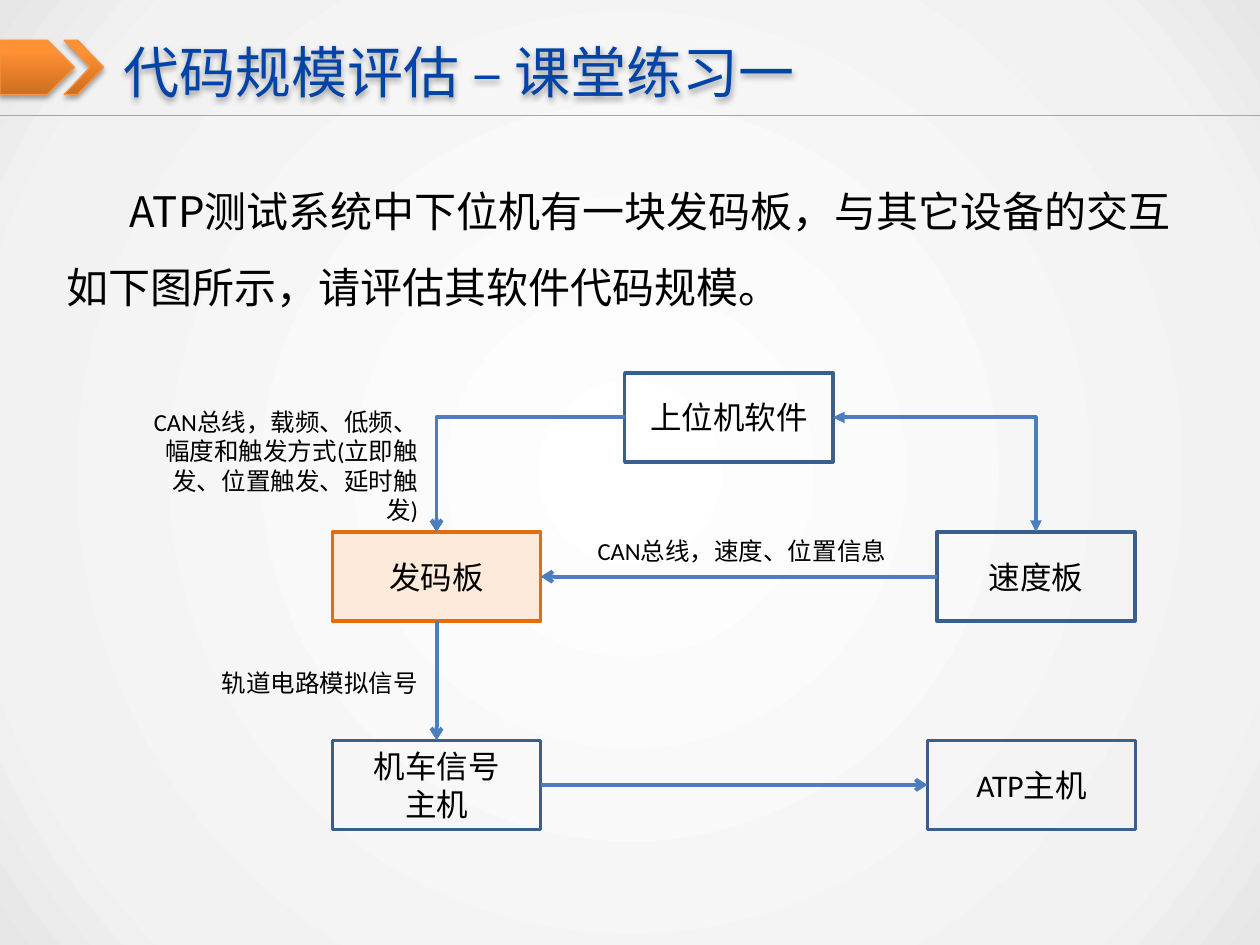
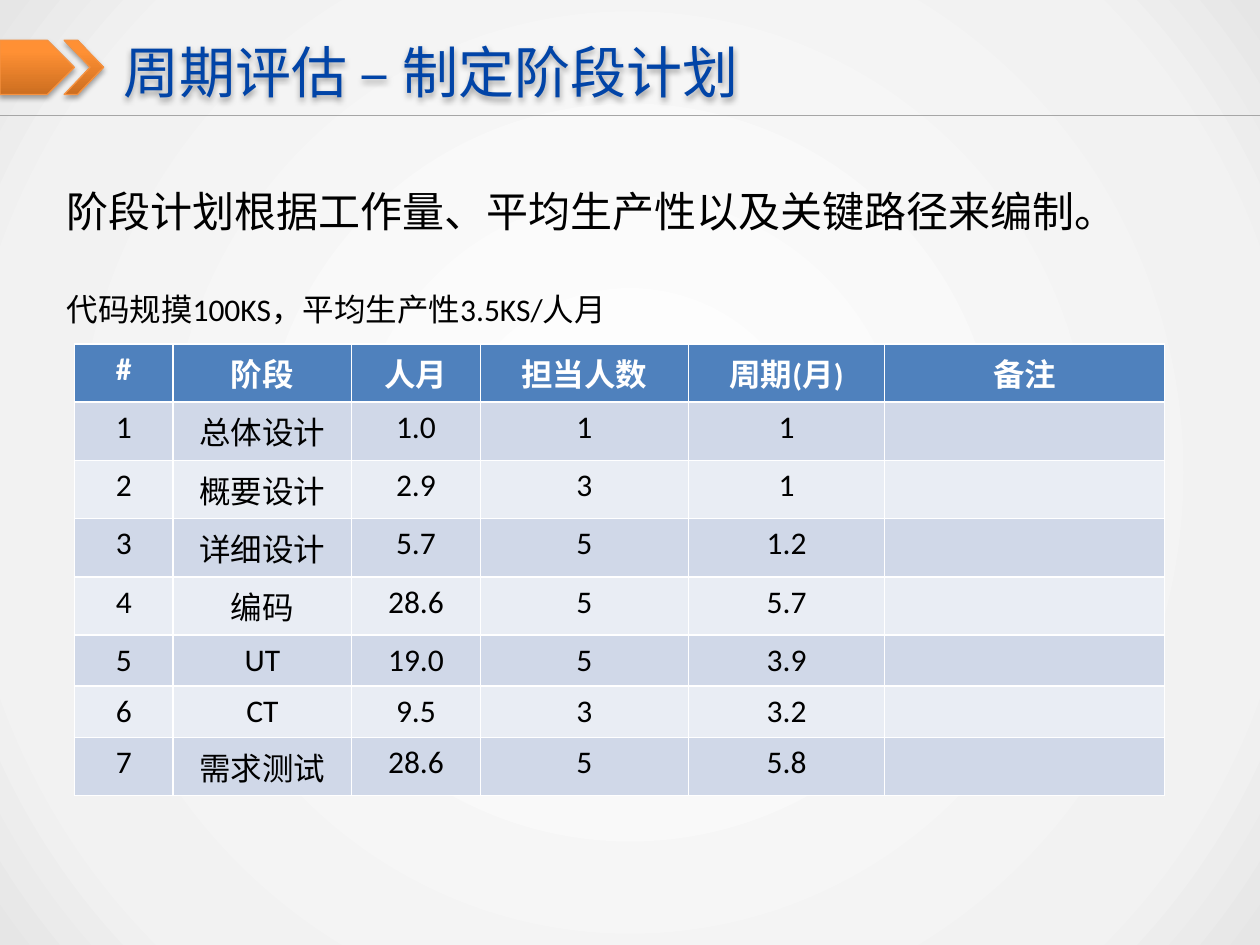
from lxml.etree import SubElement
from pptx import Presentation
from pptx.dml.color import RGBColor
from pptx.enum.shapes import MSO_CONNECTOR as Connector, MSO_SHAPE as Preset
from pptx.enum.text import MSO_ANCHOR as Anchor, MSO_AUTO_SIZE as AutoSize, PP_ALIGN as Align
from pptx.oxml.ns import qn
from pptx.util import Pt

COLORS = {
    "title": "0144A7", "text": "000000", "white": "FFFFFF", "rule": "A6A6A6",
    "orange": "F69240", "box": "3A5F8C", "arrow": "4B7EBC",
    "focus": "E46C0A", "focus_fill": "FDEADA",
    "header": "4F81BD", "odd_row": "D0D8E8", "even_row": "E9EDF4",
}
BACKGROUND_STOPS = [(0, "FFFFFF"), (82, "F2F2F2"), (100, "E6E6E6")]
ORANGE_STOPS = [(0, "CC6E20"), (80, "FF9034"), (100, "FF9136")]
LATIN, CHINESE = "Calibri", "Noto Sans CJK SC"
TOP, LEFT, BOTTOM, RIGHT = range(4)  # connection sites of a rectangle


def rgb(name):
    return RGBColor.from_string(COLORS[name])


def points(*lengths):
    return [Pt(length) for length in lengths]


def place(shape, left, top, width, height):
    shape.left, shape.top, shape.width, shape.height = points(left, top, width, height)


# Text and effects

def format_paragraph(paragraph, size, color="text", name=LATIN, align=Align.LEFT, bold=False):
    paragraph.alignment = align
    font = paragraph.font
    font.size, font.name, font.bold = Pt(size), name, bold
    font.color.rgb = rgb(color)
    SubElement(paragraph._p.pPr.find(qn("a:defRPr")), qn("a:ea"), typeface=CHINESE)


def write(frame, text, size, **style):
    frame.text = text
    for paragraph in frame.paragraphs:
        format_paragraph(paragraph, size, **style)


def set_gradient(element, fill, stops):
    """Fill with colour stops and return the gradient for its direction."""
    fill.gradient()
    gradient = next(element.iter(qn("a:gradFill")))
    for child in list(gradient):
        gradient.remove(child)
    stop_list = SubElement(gradient, qn("a:gsLst"))
    for position, color in stops:
        stop = SubElement(stop_list, qn("a:gs"), pos=str(position * 1000))
        SubElement(stop, qn("a:srgbClr"), val=color)
    return gradient


def add_shadow(shape):
    shape.shadow.inherit = False
    effects = next(shape.element.iter(qn("a:effectLst")))
    shadow = SubElement(effects, qn("a:outerShdw"), blurRad=str(Pt(3.1)),
                        dist=str(Pt(1.8)), dir="5400000", rotWithShape="0")
    color = SubElement(shadow, qn("a:srgbClr"), val=COLORS["text"])
    SubElement(color, qn("a:alpha"), val="35000")


# Shared slide parts

def set_background(master):
    gradient = set_gradient(master.element, master.background.fill, BACKGROUND_STOPS)
    circle = SubElement(gradient, qn("a:path"), {"path": "circle"})
    SubElement(circle, qn("a:fillToRect"), {side: "50000" for side in "ltrb"})


def add_title_mark(slide, preset, left, width):
    mark = slide.shapes.add_shape(preset, *points(left, 23, width, 31))
    gradient = set_gradient(mark.element, mark.fill, ORANGE_STOPS)
    SubElement(gradient, qn("a:lin"), ang="16200000", scaled="0")
    mark.line.color.rgb = rgb("orange")
    mark.line.width = Pt(0.75)
    add_shadow(mark)
    return mark


def add_line(slide, kind, color, width, ends=(0, 0, 0, 0)):
    line = slide.shapes.add_connector(kind, *points(*ends))
    line.line.color.rgb = rgb(color)
    line.line.width = Pt(width)
    SubElement(line.element.spPr, qn("a:effectLst"))
    return line


def add_slide(presentation, title_text, body_text, body_height, first_indent=0):
    slide = presentation.slides.add_slide(presentation.slide_layouts[1])
    title, body = slide.placeholders

    # Title
    place(title, 70.5, 15, 635, 51)
    frame = title.text_frame
    frame.auto_size, frame.vertical_anchor = AutoSize.NONE, Anchor.MIDDLE
    frame.margin_left = frame.margin_right = 0
    write(frame, title_text, 32, color="title", name=CHINESE)
    add_shadow(title)

    # Title marks and rule
    add_title_mark(slide, Preset.PENTAGON, 0, 42.5)
    chevron = add_title_mark(slide, Preset.CHEVRON, 36.7, 22.5)
    chevron.adjustments[0] = 0.66
    add_line(slide, Connector.STRAIGHT, "rule", 0.75, (0, 66, 720, 66))

    # Introduction
    place(body, 31, 88, 657, body_height)
    body.text_frame.auto_size = AutoSize.NONE
    write(body.text_frame, body_text, 24, name=CHINESE)
    paragraph = body.text_frame.paragraphs[0]
    paragraph.line_spacing, paragraph.space_before = 1.5, Pt(0)
    properties = paragraph._p.pPr
    properties.set("marL", "0")
    properties.set("indent", str(Pt(first_indent)))
    properties.find(qn("a:defRPr")).addprevious(properties.makeelement(qn("a:buNone")))
    return slide


# Slide content

def add_label(slide, text, left, top, width, height, size=14, align=Align.RIGHT):
    label = slide.shapes.add_textbox(*points(left, top, width, height))
    label.text_frame.word_wrap = True
    write(label.text_frame, text, size, align=align)


def add_box(slide, text, left, top, width=119, line="box", fill=None):
    box = slide.shapes.add_shape(Preset.RECTANGLE, *points(left, top, width, 51))
    box.shadow.inherit = False
    if fill:
        box.fill.solid()
        box.fill.fore_color.rgb = rgb(fill)
    else:
        box.fill.background()
    box.line.color.rgb = rgb(line)
    box.line.width = Pt(2)
    box.text_frame.vertical_anchor = Anchor.MIDDLE
    write(box.text_frame, text, 18, align=Align.CENTER)
    return box


def add_arrow(slide, start, start_site, end, end_site, tail="arrow", head=None, bent=False):
    arrow = add_line(slide, Connector.ELBOW if bent else Connector.STRAIGHT, "arrow", 2.25)
    arrow.begin_connect(start, start_site)
    arrow.end_connect(end, end_site)
    if bent:
        next(arrow.element.iter(qn("a:prstGeom"))).set("prst", "bentConnector2")
    outline = next(arrow.element.iter(qn("a:ln")))
    if head:
        SubElement(outline, qn("a:headEnd"), type=head)
    SubElement(outline, qn("a:tailEnd"), type=tail)


def add_table(slide, rows, widths, left, top, row_height):
    table = slide.shapes.add_table(
        len(rows), len(widths), *points(left, top, sum(widths), row_height * len(rows))).table
    for column, width in zip(table.columns, widths):
        column.width = Pt(width)
    for row_index, values in enumerate(rows):
        is_header = row_index == 0
        fill = "header" if is_header else "odd_row" if row_index % 2 else "even_row"
        table.rows[row_index].height = Pt(row_height)
        for cell, value in zip(table.rows[row_index].cells, values):
            cell.fill.solid()
            cell.fill.fore_color.rgb = rgb(fill)
            write(cell.text_frame, value, 18, color="white" if is_header else "text",
                  align=Align.CENTER, bold=is_header)


def add_exercise_slide(presentation):
    slide = add_slide(
        presentation, "代码规模评估 – 课堂练习一",
        "ATP测试系统中下位机有一块发码板，与其它设备的交互如下图所示，请评估其软件代码规模。",
        94, first_indent=36)

    # Devices
    code_board = add_box(slide, "发码板", 190, 304, line="focus", fill="focus_fill")
    speed_board = add_box(slide, "速度板", 535.5, 304, width=113)
    host_software = add_box(slide, "上位机软件", 357, 213)
    cab_signal = add_box(slide, "机车信号\n主机", 190, 423)
    atp_host = add_box(slide, "ATP主机", 530, 423)

    # Data flows
    add_arrow(slide, speed_board, LEFT, code_board, RIGHT)
    add_arrow(slide, host_software, RIGHT, speed_board, TOP,
              tail="triangle", head="triangle", bent=True)
    add_arrow(slide, host_software, LEFT, code_board, TOP, bent=True)
    add_arrow(slide, cab_signal, RIGHT, atp_host, LEFT)
    add_arrow(slide, code_board, BOTTOM, cab_signal, TOP)

    # Flow labels
    add_label(slide, "CAN总线，速度、位置信息", 324.5, 302.5, 199, 24, align=Align.CENTER)
    add_label(slide, "CAN总线，载频、低频、幅度和触发方式(立即触发、位置触发、延时触发)",
              76, 229, 170, 58)
    add_label(slide, "轨道电路模拟信号", 110, 378, 136, 24)


def add_schedule_slide(presentation):
    slide = add_slide(presentation, "周期评估 – 制定阶段计划",
                      "阶段计划根据工作量、平均生产性以及关键路径来编制。", 51)
    rows = [
        ("#", "阶段", "人月", "担当人数", "周期(月)", "备注"),
        ("1", "总体设计", "1.0", "1", "1", ""),
        ("2", "概要设计", "2.9", "3", "1", ""),
        ("3", "详细设计", "5.7", "5", "1.2", ""),
        ("4", "编码", "28.6", "5", "5.7", ""),
        ("5", "UT", "19.0", "5", "3.9", ""),
        ("6", "CT", "9.5", "3", "3.2", ""),
        ("7", "需求测试", "28.6", "5", "5.8", ""),
    ]
    add_table(slide, rows, (56.5, 102, 73.5, 119, 112, 160), 42.5, 196.5, 29.2)
    add_label(slide, "代码规摸100KS，平均生产性3.5KS/人月", 31, 162, 623, 29,
              size=18, align=Align.LEFT)


def main():
    presentation = Presentation()
    presentation.slide_width, presentation.slide_height = points(720, 540)
    set_background(presentation.slide_master)
    add_exercise_slide(presentation)
    add_schedule_slide(presentation)
    presentation.save("out.pptx")


if __name__ == "__main__":
    main()
